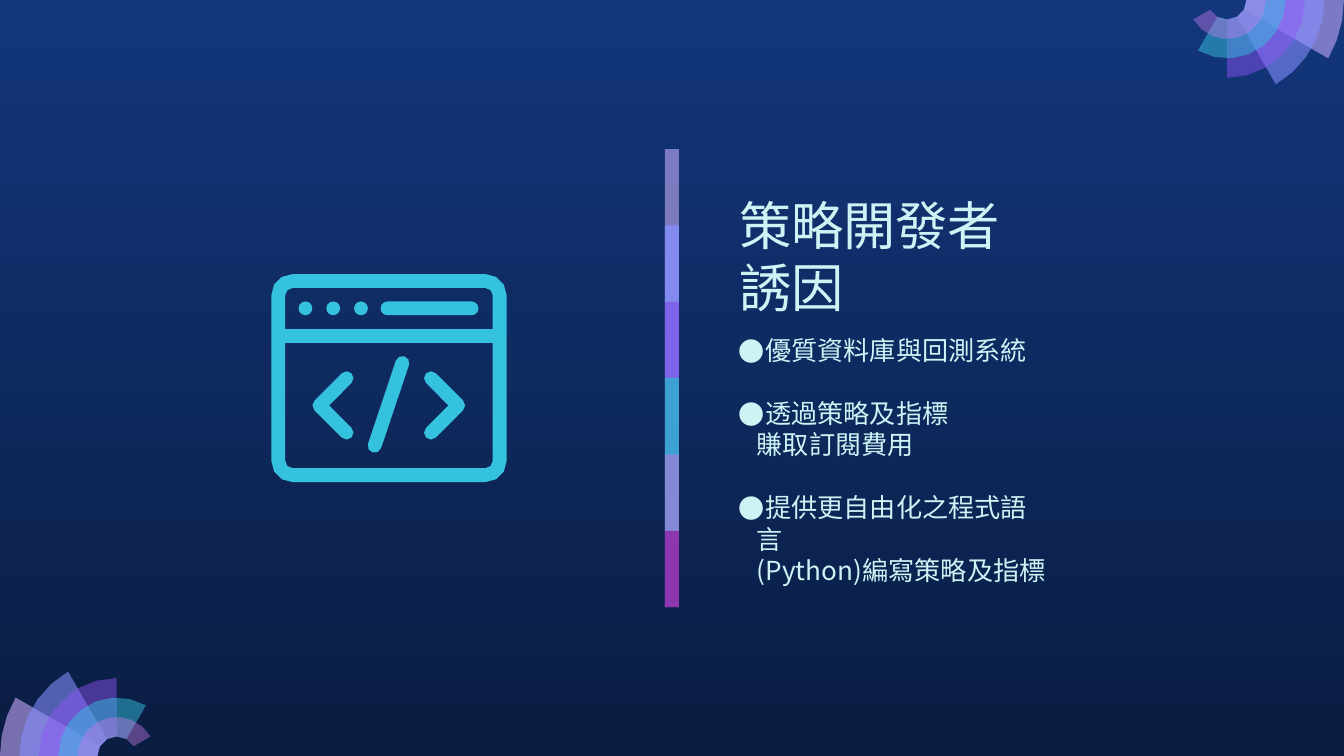
from math import atan2, cos, degrees, radians, sin, sqrt

from lxml.etree import SubElement
from pptx import Presentation
from pptx.dml.color import RGBColor
from pptx.enum.shapes import MSO_SHAPE as Preset
from pptx.enum.text import MSO_ANCHOR as Anchor, MSO_AUTO_SIZE as AutoSize, PP_ALIGN as Align
from pptx.oxml.ns import qn
from pptx.util import Pt

FONT = "Noto Sans CJK SC"
TEXT_COLOR = "CEF3F5"
ICON_COLOR = "35C2DF"
BAR_FILLS = [("C8AEF8", 59), ("878FFF", 74), ("9154F8", 53),
             ("35C2DF", 76), ("CA7BEB", 56), ("972CB4", 74)]
FAN_FILLS = [("C8ACFD", 58), ("878FFF", 58), ("9154F8", 46),
             ("35C2DF", 49), ("CA7BEB", 42)]
INCENTIVES = ["優質資料庫與回測系統",
              "透過策略及指標\v賺取訂閱費用",
              "提供更自由化之程式語言\v(Python)編寫策略及指標"]


def rgb(color):
    """Return the colour of a hex string."""
    return RGBColor.from_string(color)


def paint(shape, color, opacity=100):
    """Give a shape a plain fill without line or shadow."""
    shape.shadow.inherit = False
    shape.line.fill.background()
    shape.fill.solid()
    shape.fill.fore_color.rgb = rgb(color)
    if opacity < 100:
        source = shape._element.spPr.find(f".//{qn('a:srgbClr')}")
        SubElement(source, qn("a:alpha"), val=str(opacity * 1000))


def add_preset(shapes, preset, left, top, width, height, color, opacity=100):
    """Add a painted preset shape."""
    shape = shapes.add_shape(preset, Pt(left), Pt(top), Pt(width), Pt(height))
    paint(shape, color, opacity)
    return shape


def add_outline(shapes, contours, color, opacity=100):
    """Add one painted freeform made of closed contours."""
    builder = None
    for contour in contours:
        points = [(Pt(x), Pt(y)) for x, y in contour]
        if builder is None:
            builder = shapes.build_freeform(*points[0], scale=1.0)
        else:
            builder.move_to(*points[0])
        builder.add_line_segments(points[1:], close=True)
    paint(builder.convert_to_shape(), color, opacity)


def arc(x, y, radius, start, end):
    """Return points along an arc, with angles clockwise from the right."""
    if radius == 0:
        return [(x, y)]
    steps = max(2, round(abs(end - start) * sqrt(radius) / 90))
    angles = [radians(start + (end - start) * step / steps) for step in range(steps + 1)]
    return [(x + radius * cos(angle), y + radius * sin(angle)) for angle in angles]


def rounded_box(left, top, right, bottom, top_radius, bottom_radius):
    """Return the contour of a box with its own top and bottom corner radii."""
    corners = [(left, top, 1, 1, top_radius, 180), (right, top, -1, 1, top_radius, 270),
               (right, bottom, -1, -1, bottom_radius, 0), (left, bottom, 1, -1, bottom_radius, 90)]
    return [point for x, y, across, down, radius, start in corners
            for point in arc(x + across * radius, y + down * radius, radius, start, start + 90)]


def chevron(tip_x, tip_y, reach, radius, side):
    """Return a round-ended chevron pointing right (1) or left (-1)."""
    points = (arc(-reach, -reach, radius, 135, 315) + arc(0, 0, radius, -45, 45)
              + arc(-reach, reach, radius, 45, 225) + [(-radius * sqrt(2), 0)])
    return [(tip_x + side * x, tip_y + y) for x, y in points]


def capsule(start, end, radius):
    """Return a round-ended stroke between two points."""
    angle = degrees(atan2(end[1] - start[1], end[0] - start[0]))
    return arc(*start, radius, angle + 90, angle + 270) + arc(*end, radius, angle - 90, angle + 90)


def add_code_window(slide, left, top, width, height):
    """Draw the browser window icon with a code tag in a box."""
    shapes = slide.shapes.add_group_shape().shapes
    stroke, radius = 7.4, 3.7
    right, bottom = left + width, top + height
    inner_left, inner_right = left + stroke, right - stroke
    frame = [rounded_box(left, top, right, bottom, 11.2, 11.2),
             rounded_box(inner_left, top + stroke, inner_right, top + 29.5, 4, 0),
             rounded_box(inner_left, top + 36.8, inner_right, bottom - stroke, 0, 4)]
    add_outline(shapes, frame, ICON_COLOR)
    for index in range(3):
        add_preset(shapes, Preset.OVAL, left + 14.5 + 14.9 * index, top + 14.6,
                   stroke, stroke, ICON_COLOR)
    address_bar = add_preset(shapes, Preset.ROUNDED_RECTANGLE, left + 58.5, top + 14.6,
                             52.5, stroke, ICON_COLOR)
    address_bar.adjustments[0] = 0.5
    for tip, side in ((100.1, 1), (25.7, -1)):
        add_outline(shapes, [chevron(left + tip, top + 70.3, 14.6, radius, side)], ICON_COLOR)
    slash = capsule((left + 55.3, top + 92), (left + 70.2, top + 47.5), radius)
    add_outline(shapes, [slash], ICON_COLOR)


def add_fan(slide, x, y, radius, start):
    """Draw stepped ring sectors around a centre, each smaller and wider."""
    shapes = slide.shapes.add_group_shape().shapes
    step = radius / 6
    for index, (color, opacity) in enumerate(FAN_FILLS):
        end = start + 30 * (index + 1)
        sector = arc(x, y, radius - step * index, start, end) + arc(x, y, step, end, start)
        add_outline(shapes, [sector], color, opacity)


def add_divider(slide, left, top, width, height):
    """Stack overlapping translucent bars in a box."""
    shapes = slide.shapes.add_group_shape().shapes
    step = height / len(BAR_FILLS)
    for index, (color, opacity) in enumerate(BAR_FILLS):
        bar_height = min(2 * step, height - index * step)
        add_preset(shapes, Preset.RECTANGLE, left, top + index * step,
                   width, bar_height, color, opacity)


def set_frame(shape, left, top, width, height, anchor):
    """Place a text shape and set its wrapping, insets and anchor."""
    shape.left, shape.top, shape.width, shape.height = map(Pt, (left, top, width, height))
    frame = shape.text_frame
    frame.word_wrap = True
    frame.auto_size = AutoSize.NONE
    frame.vertical_anchor = anchor
    frame.margin_left = frame.margin_right = frame.margin_top = frame.margin_bottom = Pt(7.2)
    return frame


def format_paragraph(paragraph, size):
    """Set alignment, line pitch and run fonts of a paragraph."""
    paragraph.alignment = Align.LEFT
    paragraph.line_spacing = Pt(size * 1.2)
    for run in paragraph.runs:
        run.font.name = FONT
        run.font.size = Pt(size)
        run.font.color.rgb = rgb(TEXT_COLOR)
        SubElement(run.font._element, qn("a:ea"), typeface=FONT)


def add_title(slide, left, top, width, height):
    """Fill and place the title."""
    frame = set_frame(slide.shapes.title, left, top, width, height, Anchor.BOTTOM)
    frame.text = "策略開發者誘因"
    format_paragraph(frame.paragraphs[0], 28)


def add_incentives(slide, left, top, width, height):
    """List the incentives as bullets in a box."""
    box = slide.shapes.add_textbox(0, 0, 0, 0)
    frame = set_frame(box, left, top, width, height, Anchor.TOP)
    for index, incentive in enumerate(INCENTIVES):
        paragraph = frame.add_paragraph() if index else frame.paragraphs[0]
        paragraph.text = incentive
        format_paragraph(paragraph, 14)
        if index:
            paragraph.space_before = Pt(16.8)
        properties = paragraph._p.get_or_add_pPr()
        properties.set("marL", str(Pt(9.5)))
        properties.set("indent", str(Pt(-9.5)))
        bullet_color = SubElement(properties, qn("a:buClr"))
        SubElement(bullet_color, qn("a:srgbClr"), val=TEXT_COLOR)
        SubElement(properties, qn("a:buFont"), typeface=FONT)
        SubElement(properties, qn("a:buChar"), char="●")


def main():
    """Build and save the slide."""
    presentation = Presentation()
    presentation.slide_width, presentation.slide_height = Pt(720), Pt(405)
    slide = presentation.slides.add_slide(presentation.slide_layouts[5])
    background = slide.background.fill
    background.gradient()
    background.gradient_angle = 270
    for stop, color in zip(background.gradient_stops, ("13367C", "0A1D42")):
        stop.color.rgb = rgb(color)
    add_divider(slide, 356.2, 79.9, 7.5, 245.4)
    add_title(slide, 388.8, 101.5, 164.2, 76.3)
    add_incentives(slide, 388.8, 172.1, 180.7, 141.8)
    add_code_window(slide, 145.4, 146.9, 126, 111.4)
    add_fan(slide, 62.6, 405, 62.6, 180)
    add_fan(slide, 657.4, 0, 62.6, 0)
    presentation.save("out.pptx")


if __name__ == "__main__":
    main()
